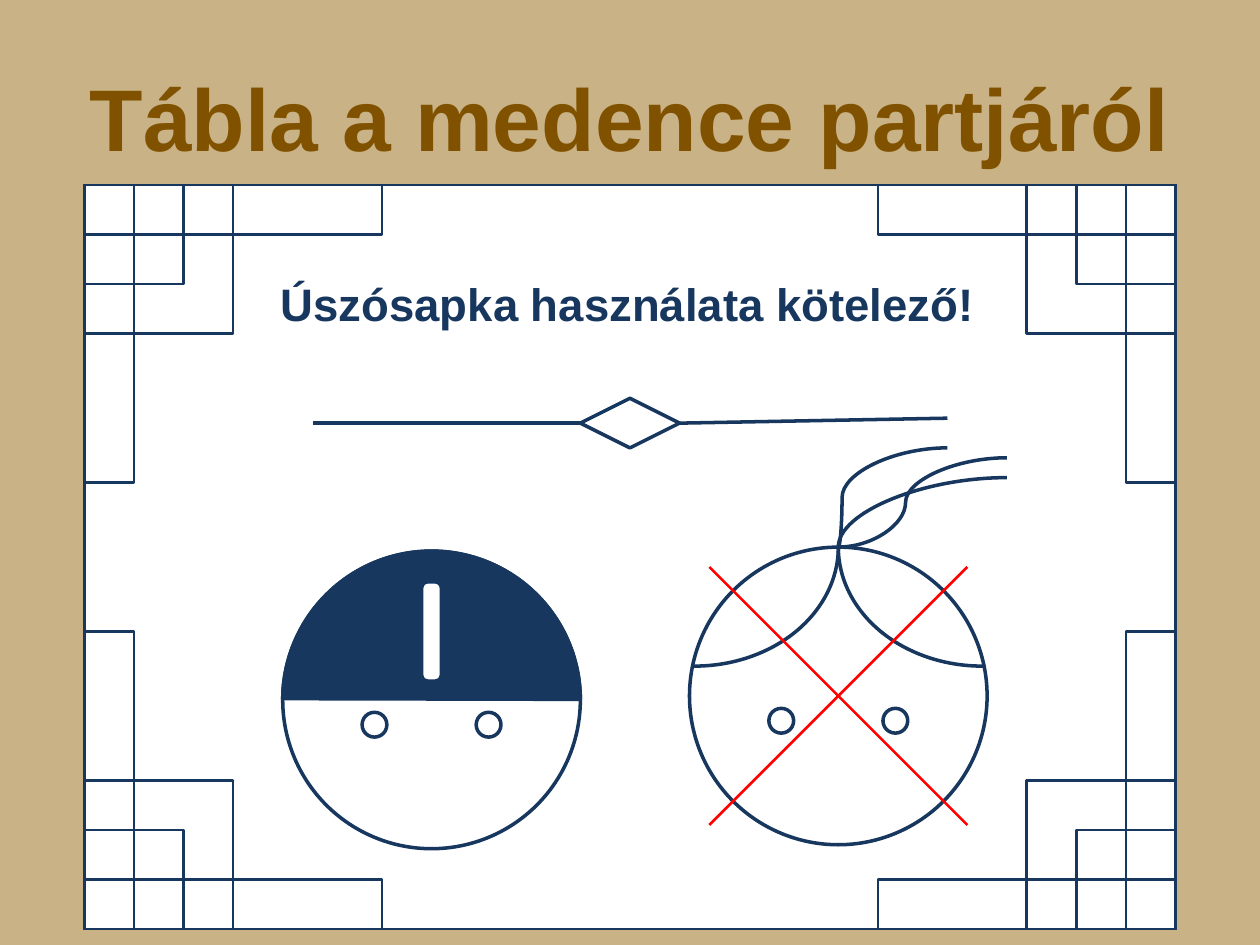
from lxml import etree
from pptx import Presentation
from pptx import util as u
from pptx.dml.color import RGBColor
from pptx.enum import shapes, text
from pptx.oxml.ns import qn

NAVY, WHITE, RED = "17375E", "FFFFFF", "FF0000"
SAND, BROWN = "C9B286", "805200"
KIND = shapes.MSO_SHAPE
HEAD = 6  # head diameter in cm
FRAME = (1.7, 3.73, 22, 15)
CORNER_TILES = [(1, 1), (2, 2), (3, 3), (1, 6), (6, 1)]


def color(value):
    return RGBColor.from_string(value)


def cm(*lengths):
    return [u.Cm(length) for length in lengths]


def add_figure(slide, kind, box, fill=None, width=2, rotation=0, adjust=()):
    shape = slide.shapes.add_shape(kind, *cm(*box))
    shape.shadow.inherit = False
    shape.rotation = rotation
    if fill:
        shape.fill.solid()
        shape.fill.fore_color.rgb = color(fill)
    else:
        shape.fill.background()
    shape.line.color.rgb = color(NAVY)
    shape.line.width = u.Pt(width)
    for index, value in enumerate(adjust):
        shape.adjustments[index] = value
    return shape


def add_line(slide, start, end, stroke=NAVY, width=2,
             kind=shapes.MSO_CONNECTOR.STRAIGHT):
    connector = slide.shapes.add_connector(kind, *cm(*start, *end))
    connector.line.color.rgb = color(stroke)
    connector.line.width = u.Pt(width)
    etree.SubElement(connector._element.spPr, qn("a:effectLst"))
    return connector


def add_curve(slide, start, end, bend=None, preset="curvedConnector3", rotation=0):
    connector = add_line(slide, start, end, kind=shapes.MSO_CONNECTOR.CURVE)
    properties = connector._element.spPr
    geometry = properties.find(qn("a:prstGeom"))
    geometry.set("prst", preset)
    if rotation:
        properties.find(qn("a:xfrm")).set("rot", str(rotation * 60000))
    if bend is not None:
        guides = geometry.find(qn("a:avLst"))
        if guides is None:
            guides = etree.SubElement(geometry, qn("a:avLst"))
        etree.SubElement(guides, qn("a:gd"), name="adj1", fmla=f"val {bend}")


def add_text(slide, box, content, size, ink, frame_format, align):
    frame = slide.shapes.add_textbox(*cm(*box)).text_frame
    for name, value in frame_format.items():
        setattr(frame, name, value)
    paragraph = frame.paragraphs[0]
    paragraph.alignment = align
    run = paragraph.add_run()
    run.text = content
    for name, value in {"name": "Arial", "size": u.Pt(size), "bold": True}.items():
        setattr(run.font, name, value)
    run.font.color.rgb = color(ink)


def add_frame(slide):
    left, top, width, height = FRAME
    add_figure(slide, KIND.RECTANGLE, FRAME, WHITE, 1.5)
    for at_right, at_bottom in [(0, 0), (1, 0), (1, 1), (0, 1)]:
        for w, h in CORNER_TILES:
            box = (left + at_right * (width - w), top + at_bottom * (height - h), w, h)
            add_figure(slide, KIND.RECTANGLE, box, width=1.5)


def add_head(slide, left, top):
    add_figure(slide, KIND.OVAL, (left, top, HEAD, HEAD))
    for offset in (1.6, 3.9):
        add_figure(slide, KIND.OVAL, (left + offset, top + 3.25, 0.5, 0.5))


def add_divider(slide):
    diamond = add_figure(slide, KIND.FLOWCHART_DECISION, (11.7, 8.03, 2, 1))
    right = add_line(slide, (13.7, 8.53), (19.1, 8.43))
    right.begin_connect(diamond, 3)
    left = add_line(slide, (6.3, 8.53), (11.7, 8.53))
    left.end_connect(diamond, 1)


def add_hair(slide, crown):
    # Parted fringe
    add_figure(slide, KIND.ARC, (11.6, 8.13, 4.8, 5.8), rotation=90,
               adjust=(162, 0.913))
    fringe = add_figure(slide, KIND.ARC, (17.4, 8.13, 4.8, 5.8), rotation=270,
                        adjust=(162, 0.898))
    fringe._element.spPr.find(qn("a:xfrm")).set("flipH", "1")
    # Loose strands
    add_curve(slide, (19.3, 12.03), (17.9, 8.63), preset="curvedConnector2",
              rotation=90)
    add_curve(slide, crown, (19.1, 9.03), bend=3500)
    add_curve(slide, crown, (20.3, 9.23), bend=39900)


def main():
    presentation = Presentation()
    presentation.slide_width, presentation.slide_height = cm(25.4, 19.05)
    slide = presentation.slides.add_slide(presentation.slide_layouts[6])
    slide.background.fill.solid()
    slide.background.fill.fore_color.rgb = color(SAND)

    # Sign board
    add_frame(slide)

    # Swimmer with a cap
    add_head(slide, 5.7, 11.11)
    add_figure(slide, KIND.CHORD, (5.7, 11.11, HEAD, HEAD), NAVY,
               adjust=(108.284, 215.876))
    add_figure(slide, KIND.ROUNDED_RECTANGLE, (8.5, 11.73, 0.4, 2), WHITE,
               adjust=(0.314,))

    # Swimmer without a cap, crossed out
    add_head(slide, 13.9, 11.03)
    add_hair(slide, (16.9, 11.03))
    for start_x, end_x in [(14.3, 19.5), (19.5, 14.3)]:
        add_line(slide, (start_x, 11.43), (end_x, 16.63), RED, 1.5)

    # Wording and divider
    add_text(slide, (5.41, 5.44, 14.6, 1.37), "Úszósapka használata kötelező!",
             26, NAVY,
             {"word_wrap": True, "auto_size": text.MSO_AUTO_SIZE.SHAPE_TO_FIT_TEXT},
             text.PP_ALIGN.LEFT)
    add_divider(slide)
    add_text(slide, (0, 0.76, 25.4, 3.18), "Tábla a medence partjáról", 50, BROWN,
             {"word_wrap": True, "vertical_anchor": text.MSO_ANCHOR.MIDDLE},
             text.PP_ALIGN.CENTER)

    presentation.save("out.pptx")


if __name__ == "__main__":
    main()
